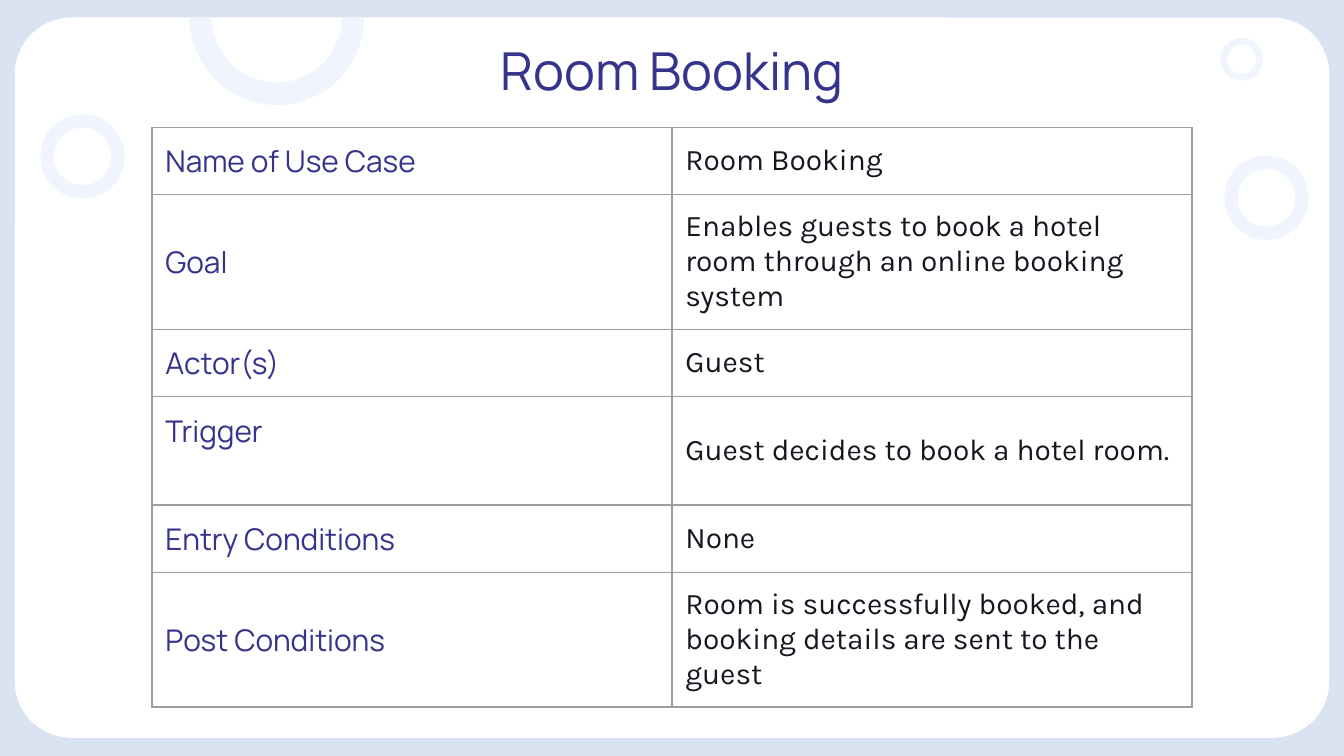
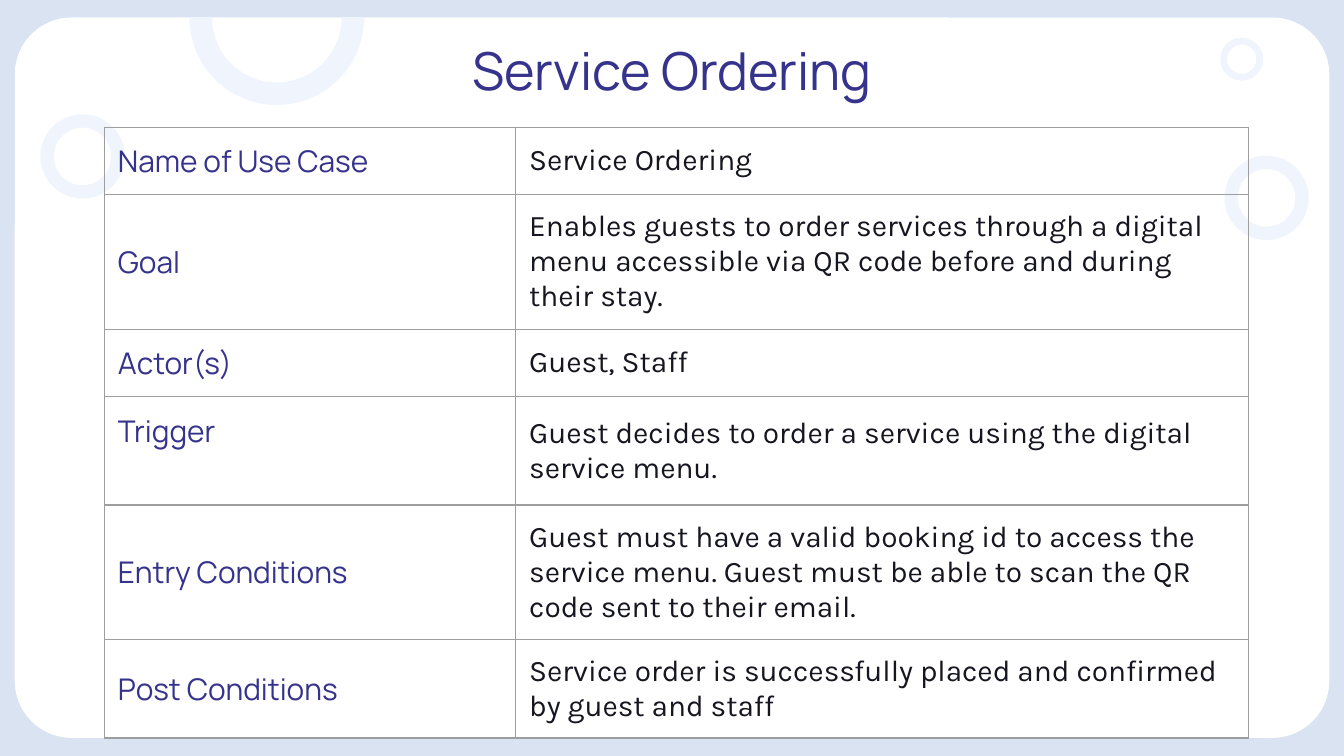
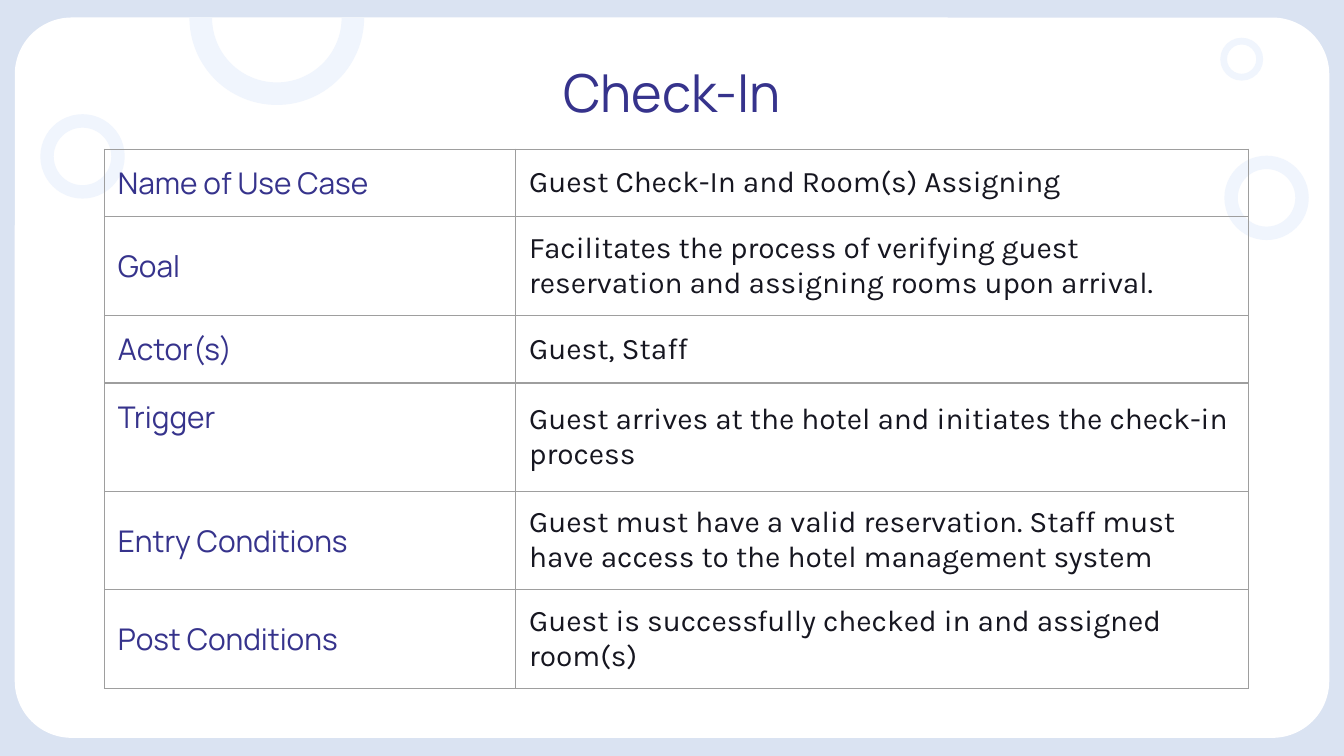
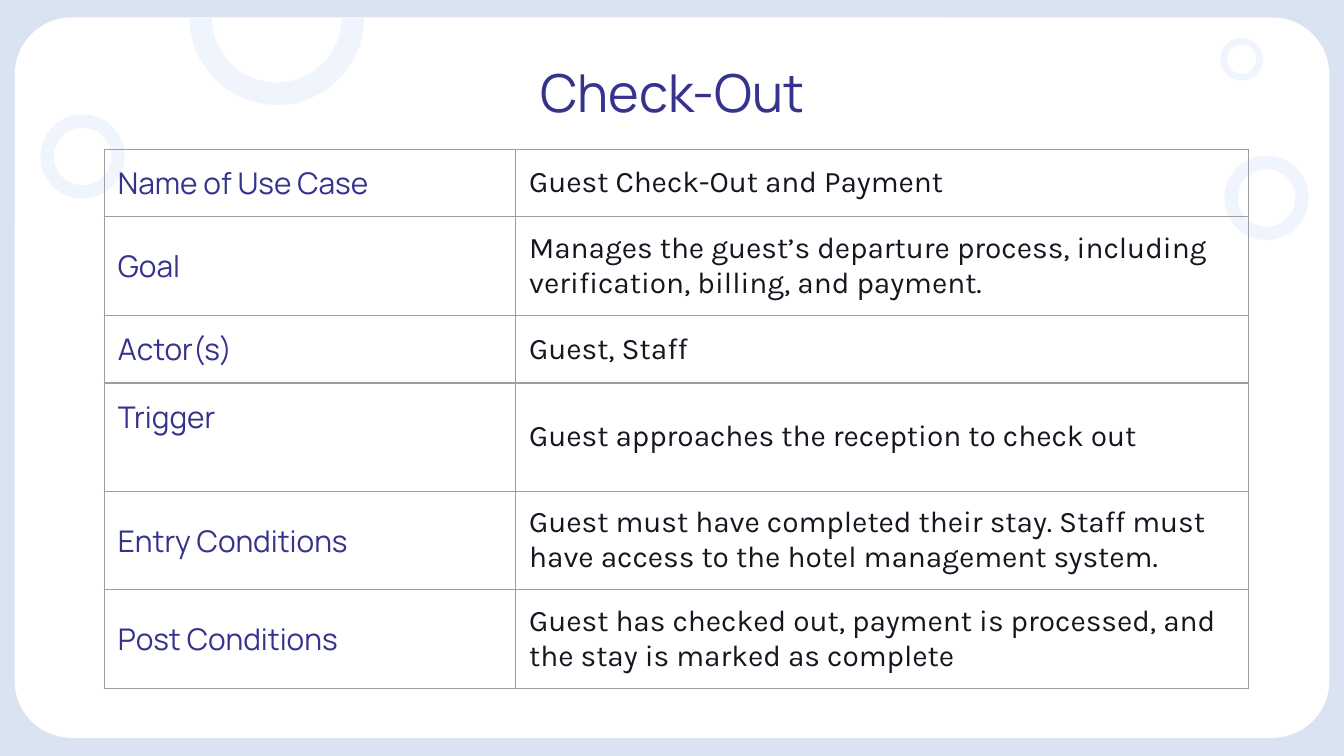
from lxml import etree
from pptx import Presentation
from pptx.dml.color import RGBColor
from pptx.enum import shapes, text
from pptx.oxml import ns
from pptx.util import Pt

COLOURS = {
    "backdrop": "DAE3F2",
    "panel": "FFFFFF",
    "ring": "F0F5FD",
    "heading": "36338C",
    "body": "161620",
    "border": "9E9E9E",
}
HEADING_FONT, BODY_FONT = "Manrope", "Karla"
INSET = 7.2
LABELS = ["Name of Use Case", "Goal", "Actor(s)", "Trigger",
          "Entry Conditions", "Post Conditions"]
ROW_HEIGHTS = {1: 36.2, 2: 51.8, 3: 70.5}  # by number of text lines
TRIGGER_HEIGHT = 58
RINGS = [(21.6, 61.2, 45.2), (653.7, 20.2, 23), (655.9, 83.4, 45.2)]  # left, top, size

HIGH = {"title_top": 14.4, "table_top": 68.2}
LOW = {"title_top": 26.6, "table_top": 80}
EVEN = {"table_left": 81.4, "columns": (278.6, 278.6)}
WIDE = {"table_left": 56, "columns": (220.3, 392.6)}

# Each answer is a text with the number of lines it fills.
USE_CASES = [
    ("Room Booking", {**HIGH, **EVEN}, [
        ("Room Booking", 1),
        ("Enables guests to book a hotel room through an online booking system", 3),
        ("Guest", 1),
        ("Guest decides to book a hotel room.", 1),
        ("None", 1),
        ("Room is successfully booked, and booking details are sent to the guest", 3),
    ]),
    ("Service Ordering", {**HIGH, **WIDE}, [
        ("Service Ordering", 1),
        ("Enables guests to order services through a digital menu accessible "
         "via QR code before and during\ntheir stay.", 3),
        ("Guest, Staff", 1),
        ("Guest decides to order a service using the digital service menu.", 2),
        ("Guest must have a valid booking id to access the service menu. "
         "Guest must be able to scan the QR code sent to their email.", 3),
        ("Service order is successfully placed and confirmed by guest and staff", 2),
    ]),
    ("Check-In", {**LOW, **WIDE}, [
        ("Guest Check-In and Room(s) Assigning", 1),
        ("Facilitates the process of verifying guest reservation and "
         "assigning rooms upon arrival.", 2),
        ("Guest, Staff", 1),
        ("Guest arrives at the hotel and initiates the check-in process", 2),
        ("Guest must have a valid reservation. Staff must have access to "
         "the hotel management system", 2),
        ("Guest is successfully checked in and assigned room(s)", 2),
    ]),
    ("Check-Out", {**LOW, **WIDE}, [
        ("Guest Check-Out and Payment", 1),
        ("Manages the guest’s departure process, including verification, "
         "billing, and payment.", 2),
        ("Guest, Staff", 1),
        ("Guest approaches the reception to check out", 1),
        ("Guest must have completed their stay. Staff must have access to "
         "the hotel management system.", 2),
        ("Guest has checked out, payment is processed, and the stay is "
         "marked as complete", 2),
    ]),
]


def colour(name):
    return RGBColor.from_string(COLOURS[name])


def style_font(paragraph, face, size, colour_name):
    paragraph.font.name = face
    paragraph.font.size = Pt(size)
    paragraph.font.color.rgb = colour(colour_name)


def set_insets(holder):
    """Give a text frame or a table cell the same margin on all sides."""
    holder.margin_left = holder.margin_right = Pt(INSET)
    holder.margin_top = holder.margin_bottom = Pt(INSET)


def add_plain_shape(page, kind, left, top, width, height, fill, adjustments):
    shape = page.shapes.add_shape(kind, Pt(left), Pt(top), Pt(width), Pt(height))
    shape.shadow.inherit = False
    shape.fill.solid()
    shape.fill.fore_color.rgb = colour(fill)
    shape.line.fill.background()
    for index, value in enumerate(adjustments):
        shape.adjustments[index] = value
    return shape


def add_backdrop(page):
    kinds = shapes.MSO_SHAPE
    add_plain_shape(page, kinds.ROUNDED_RECTANGLE, 7.9, 9.4, 704.2, 385.9,
                    "panel", [0.079])
    for left, top, size in RINGS:
        add_plain_shape(page, kinds.DONUT, left, top, size, size, "ring", [0.159])
    arc = add_plain_shape(page, kinds.BLOCK_ARC, 101.5, -37.4, 93.6, 93.6,
                          "ring", [102.48, 210.58, 0.129])
    arc.rotation = 189.3


def add_title(page, title, top):
    box = page.shapes.add_textbox(Pt(56.2), Pt(top), Pt(607.7), Pt(45.4))
    frame = box.text_frame
    frame.word_wrap = True
    frame.vertical_anchor = text.MSO_ANCHOR.MIDDLE
    set_insets(frame)
    para = frame.paragraphs[0]
    para.text = title
    para.alignment = text.PP_ALIGN.CENTER
    style_font(para, HEADING_FONT, 28, "heading")


def add_borders(cell):
    properties = cell._tc.get_or_add_tcPr()
    for side in ("lnL", "lnR", "lnT", "lnB"):
        line = etree.SubElement(properties, ns.qn(f"a:{side}"), w=str(Pt(0.75)))
        fill = etree.SubElement(line, ns.qn("a:solidFill"))
        etree.SubElement(fill, ns.qn("a:srgbClr"), val=COLOURS["border"])


def fill_cell(cell, content, face, colour_name):
    cell.text = content
    cell.vertical_anchor = text.MSO_ANCHOR.MIDDLE
    set_insets(cell)
    add_borders(cell)
    cell.fill.background()
    for para in cell.text_frame.paragraphs:
        style_font(para, face, 16, colour_name)


def add_use_case_table(page, answers, left, top, columns):
    heights = [TRIGGER_HEIGHT if label == "Trigger" else ROW_HEIGHTS[lines]
               for label, (_, lines) in zip(LABELS, answers)]
    table = page.shapes.add_table(len(LABELS), len(columns), Pt(left), Pt(top),
                                  Pt(sum(columns)), Pt(sum(heights))).table
    table.first_row = table.horz_banding = False
    for column, width in zip(table.columns, columns):
        column.width = Pt(width)
    for index, (label, (answer, _)) in enumerate(zip(LABELS, answers)):
        table.rows[index].height = Pt(heights[index])
        label_cell = table.cell(index, 0)
        fill_cell(label_cell, label, HEADING_FONT, "heading")
        if label == "Trigger":
            label_cell.vertical_anchor = text.MSO_ANCHOR.TOP
        fill_cell(table.cell(index, 1), answer, BODY_FONT, "body")


def main():
    deck = Presentation()
    deck.slide_width, deck.slide_height = Pt(720), Pt(405)
    background = deck.slide_master.background.fill
    background.solid()
    background.fore_color.rgb = colour("backdrop")
    for title, place, answers in USE_CASES:
        page = deck.slides.add_slide(deck.slide_layouts[6])
        add_backdrop(page)
        add_title(page, title, place["title_top"])
        add_use_case_table(page, answers, place["table_left"],
                           place["table_top"], place["columns"])
    deck.save("out.pptx")


if __name__ == "__main__":
    main()
